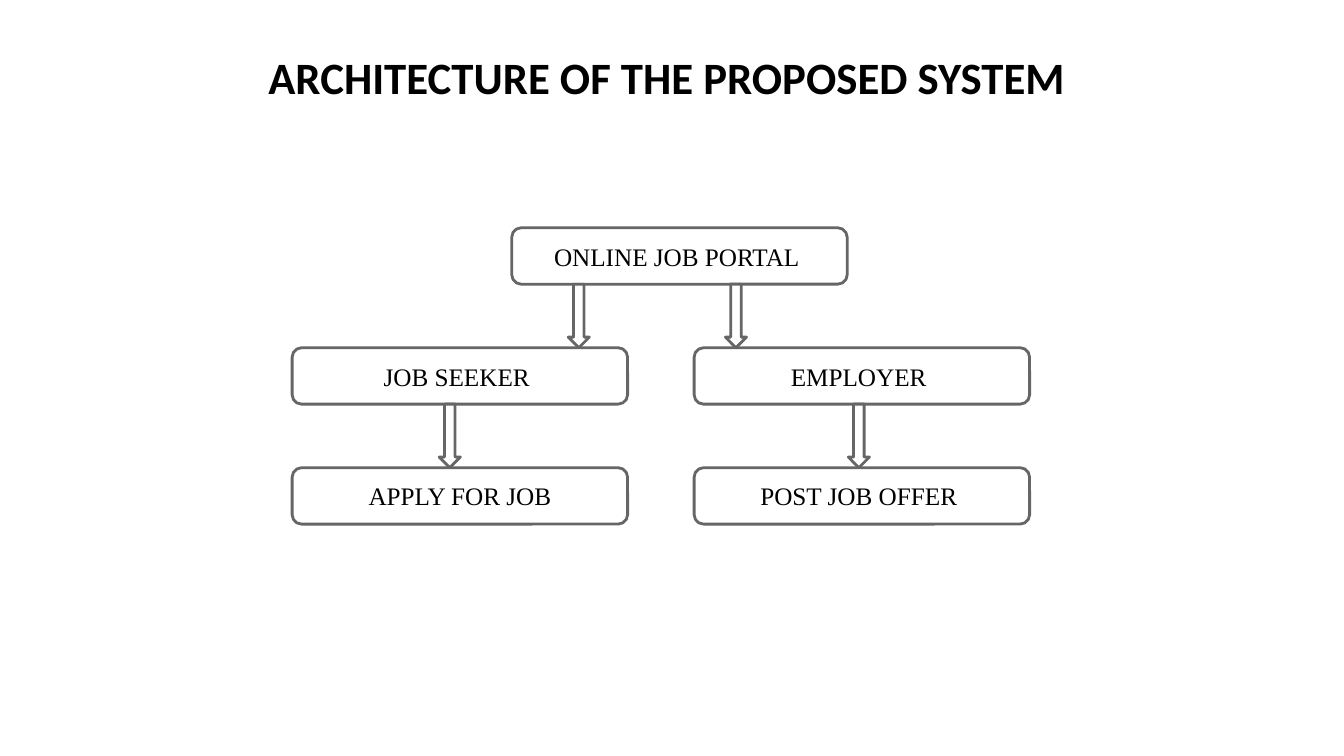
"""Build the slide showing the architecture of the proposed job portal system."""
import pptx
import pptx.dml.color
import pptx.enum.shapes
import pptx.enum.text
import pptx.util

PX = pptx.util.Inches(1) // 100
THEME = {
    "ink": pptx.dml.color.RGBColor(0, 0, 0),
    "paper": pptx.dml.color.RGBColor(255, 255, 255),
    "outline": pptx.dml.color.RGBColor(0x66, 0x66, 0x66),
    "outline_width": pptx.util.Pt(2),
    "title_font": "Calibri",
    "title_size": pptx.util.Pt(32),
    "label_font": "Times New Roman",
    "label_size": pptx.util.Pt(18),
}
BOX_WIDTH, BOX_HEIGHT = 333, 56
FIRST_ROW, ROW_STEP = 226, 119
ARROW_WIDTH = 21
SEEKER_LEFT, PORTAL_LEFT, EMPLOYER_LEFT = 290, 508, 689


def add_outlined(slide, preset, left, top, width, height):
    shape = slide.shapes.add_shape(preset, left * PX, top * PX, width * PX, height * PX)
    shape.shadow.inherit = False
    shape.fill.solid()
    shape.fill.fore_color.rgb = THEME["paper"]
    shape.line.color.rgb = THEME["outline"]
    shape.line.width = THEME["outline_width"]
    return shape


def write_centred(frame, text, role, bold):
    frame.word_wrap = True
    frame.auto_size = pptx.enum.text.MSO_AUTO_SIZE.NONE
    frame.vertical_anchor = pptx.enum.text.MSO_ANCHOR.MIDDLE
    paragraph = frame.paragraphs[0]
    paragraph.alignment = pptx.enum.text.PP_ALIGN.CENTER
    run = paragraph.add_run()
    run.text = text
    run.font.name = THEME[role + "_font"]
    run.font.size = THEME[role + "_size"]
    run.font.bold = bold
    run.font.color.rgb = THEME["ink"]
    return paragraph


deck = pptx.Presentation()
deck.slide_width, deck.slide_height = 1334 * PX, 750 * PX
slide = deck.slides.add_slide(deck.slide_layouts[5])

title = slide.shapes.title
title.left, title.top, title.width, title.height = 217 * PX, 21 * PX, 900 * PX, 83 * PX
heading = write_centred(title.text_frame, "ARCHITECTURE OF THE PROPOSED SYSTEM ", "title", True)
heading.line_spacing = 1.5

components = [
    ("ONLINE JOB PORTAL ", PORTAL_LEFT, 0),
    ("JOB SEEKER ", SEEKER_LEFT, 1),
    ("EMPLOYER ", EMPLOYER_LEFT, 1),
    ("APPLY FOR JOB", SEEKER_LEFT, 2),
    ("POST JOB OFFER ", EMPLOYER_LEFT, 2),
]
for label, left, row in components:
    component = add_outlined(slide, pptx.enum.shapes.MSO_SHAPE.ROUNDED_RECTANGLE,
                             left, FIRST_ROW + row * ROW_STEP, BOX_WIDTH, BOX_HEIGHT)
    write_centred(component.text_frame, label, "label", False)

for left, row in [(564, 0), (720, 0), (436, 1), (842, 1)]:
    add_outlined(slide, pptx.enum.shapes.MSO_SHAPE.DOWN_ARROW,
                 left, FIRST_ROW + row * ROW_STEP + BOX_HEIGHT,
                 ARROW_WIDTH, ROW_STEP - BOX_HEIGHT)

deck.save("out.pptx")
